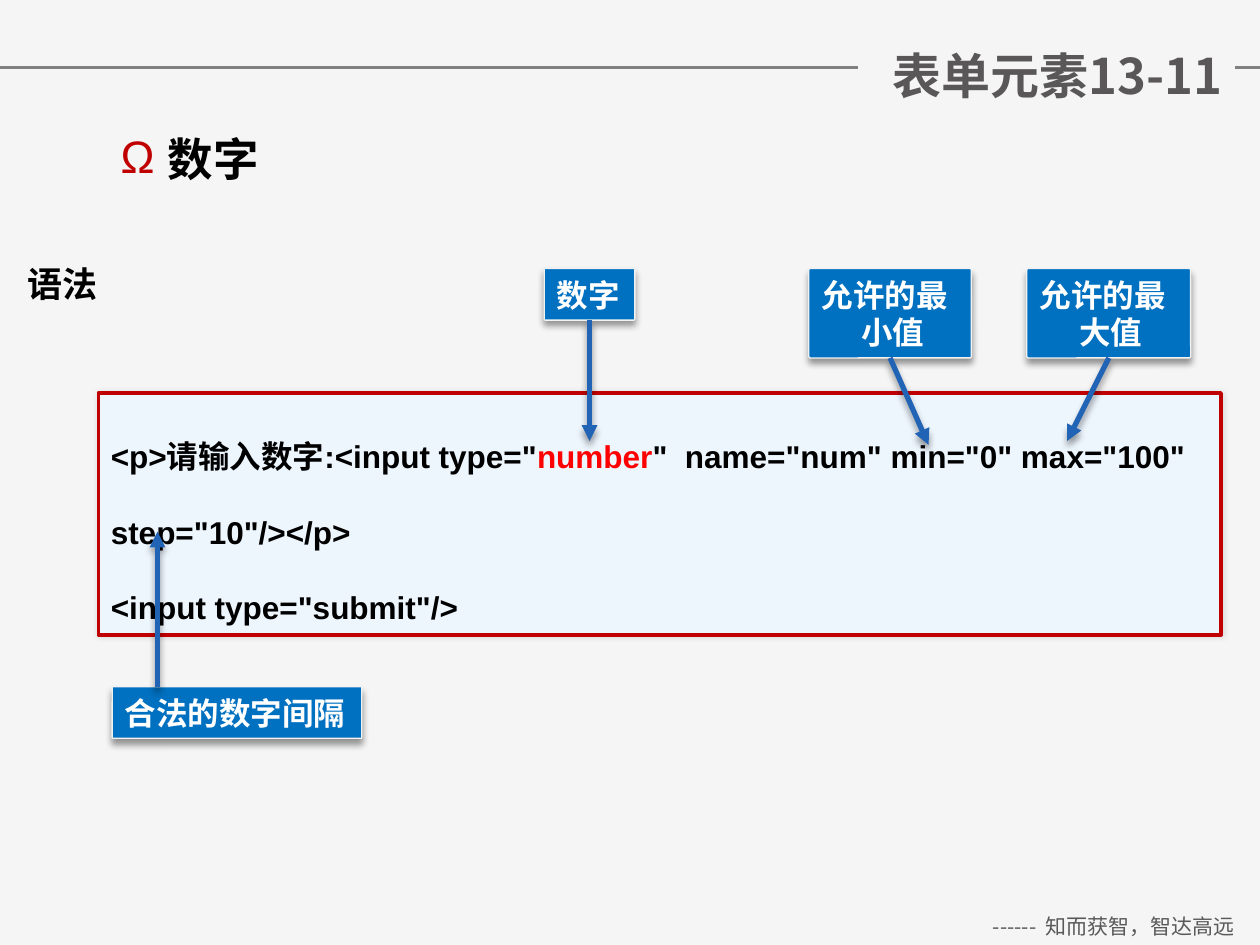
from dataclasses import dataclass

from lxml import etree
from pptx import Presentation
from pptx.dml.color import RGBColor
from pptx.enum.shapes import MSO_CONNECTOR, MSO_SHAPE
from pptx.enum.text import MSO_ANCHOR, MSO_AUTO_SIZE, PP_ALIGN
from pptx.oxml.ns import qn
from pptx.util import Pt

STRAIGHT = MSO_CONNECTOR.STRAIGHT
ROUNDED = MSO_SHAPE.ROUNDED_RECTANGLE
TOP, MIDDLE, BOTTOM = MSO_ANCHOR.TOP, MSO_ANCHOR.MIDDLE, MSO_ANCHOR.BOTTOM
LEFT, CENTER, RIGHT = PP_ALIGN.LEFT, PP_ALIGN.CENTER, PP_ALIGN.RIGHT
NO_AUTOFIT = MSO_AUTO_SIZE.NONE

LATIN, CJK = "Arial", "Noto Sans CJK SC"
COLORS = {
    "background": "F5F5F5",
    "rule": "808080",
    "title": "595758",
    "footer": "595959",
    "black": "000000",
    "white": "FFFFFF",
    "accent": "C00000",
    "keyword": "FF0000",
    "code_fill": "EDF5FD",
    "label_fill": "0070C0",
    "label_line": "F2F2F2",
    "arrow": "2163B4",
}


@dataclass
class Area:
    left: float
    top: float
    width: float
    height: float


@dataclass
class Style:
    size: float
    color: str
    bold: bool = True
    font: str = CJK


@dataclass
class Shadow:
    opacity: int
    blur: float
    distance: float
    angle: int = 0


@dataclass
class Label:
    text: str
    area: Area
    start: tuple[float, float]
    tip: tuple[float, float]
    wrap: bool


SOFT_SHADOW = Shadow(10, 3, 0)
DROP_SHADOW = Shadow(40, 4, 3, 90)
CODE_STYLE = Style(18, "black", font=LATIN)
KEYWORD_STYLE = Style(18, "keyword", font=LATIN)
LABEL_STYLE = Style(18, "white", font=LATIN)

CODE_LINES = [
    [
        ('<p>请输入数字:<input type="', CODE_STYLE),
        ("number", KEYWORD_STYLE),
        ('"  name="num" min="0" max="100" step="10"/></p>', CODE_STYLE),
    ],
    [('<input type="submit"/>', CODE_STYLE)],
]

LABELS = [
    Label("数字", Area(311, 153.4, 51.8, 29.5), (336.9, 182.9), (336.9, 252), False),
    Label("允许的最小值", Area(462.2, 153.4, 92.9, 51.1), (508.6, 204.5), (530.6, 254.2), True),
    Label("允许的最大值", Area(586.8, 153.4, 93.6, 51.1), (633.6, 204.5), (609.8, 252), True),
    Label("合法的数字间隔", Area(64.1, 392.4, 142.6, 29.5), (90, 392.4), (90, 303.8), False),
]


def rgb(name: str) -> RGBColor:
    return RGBColor.from_string(COLORS[name])


def box_lengths(area: Area) -> list[Pt]:
    return [Pt(area.left), Pt(area.top), Pt(area.width), Pt(area.height)]


def add_effects(parent, shadow: Shadow | None):
    effects = etree.SubElement(parent, qn("a:effectLst"))
    if shadow:
        outer = etree.SubElement(
            effects, qn("a:outerShdw"), blurRad=str(Pt(shadow.blur)),
            dist=str(Pt(shadow.distance)), dir=str(shadow.angle * 60000),
            algn="ctr", rotWithShape="0")
        color = etree.SubElement(outer, qn("a:srgbClr"), val=COLORS["black"])
        etree.SubElement(color, qn("a:alpha"), val=str(shadow.opacity * 1000))
    return effects


def format_span(span, style: Style) -> None:
    span.font.size = Pt(style.size)
    span.font.bold = style.bold
    span.font.color.rgb = rgb(style.color)
    span.font.name = style.font
    etree.SubElement(span.font._element, qn("a:ea"), typeface=CJK)


def format_frame(frame, anchor, wrap: bool) -> None:
    frame.auto_size = NO_AUTOFIT
    frame.word_wrap = wrap
    frame.vertical_anchor = anchor


def write_text(box, text: str, style: Style, anchor=TOP, align=LEFT, wrap: bool = True):
    frame = box.text_frame
    frame.text = text
    format_frame(frame, anchor, wrap)
    para = frame.paragraphs[0]
    para.alignment = align
    format_span(para.runs[0], style)
    return para


def set_hanging(para, indent: float) -> None:
    properties = para._p.get_or_add_pPr()
    properties.set("marL", str(Pt(indent)))
    properties.set("indent", str(-Pt(indent)))


def add_bullet(para, symbol: str) -> None:
    properties = para._p.get_or_add_pPr()
    color = etree.SubElement(properties, qn("a:buClr"))
    etree.SubElement(color, qn("a:srgbClr"), val=COLORS["accent"])
    etree.SubElement(properties, qn("a:buFont"), typeface=LATIN)
    etree.SubElement(properties, qn("a:buChar"), char=symbol)


def add_panel(page, area: Area, fill: str, line: str, weight: float,
              corner: float, shadow: Shadow):
    panel = page.shapes.add_shape(ROUNDED, *box_lengths(area))
    panel.adjustments[0] = corner
    panel.fill.solid()
    panel.fill.fore_color.rgb = rgb(fill)
    panel.line.color.rgb = rgb(line)
    panel.line.width = Pt(weight)
    add_effects(panel.element.spPr, shadow)
    return panel


def add_line(page, start: tuple[float, float], end: tuple[float, float], color: str,
             weight: float, arrow: bool = False) -> None:
    points = [Pt(value) for value in (*start, *end)]
    line = page.shapes.add_connector(STRAIGHT, *points)
    line.line.color.rgb = rgb(color)
    line.line.width = Pt(weight)
    if arrow:
        etree.SubElement(line.line._get_or_add_ln(), qn("a:tailEnd"), type="triangle")
    add_effects(line.element.spPr, DROP_SHADOW if arrow else None)


def add_code(page) -> None:
    panel = add_panel(page, Area(56.2, 224.6, 641.5, 138.2), "code_fill", "accent",
                      2, 0, SOFT_SHADOW)
    frame = panel.text_frame
    format_frame(frame, TOP, True)
    for index, parts in enumerate(CODE_LINES):
        para = frame.add_paragraph() if index else frame.paragraphs[0]
        para.alignment = LEFT
        para.line_spacing = 2.0
        for text, style in parts:
            span = para.add_run()
            span.text = text
            format_span(span, style)


def add_label(page, label: Label) -> None:
    panel = add_panel(page, label.area, "label_fill", "label_line", 0.75, 0.018, DROP_SHADOW)
    para = write_text(panel, label.text, LABEL_STYLE, BOTTOM, wrap=label.wrap)
    set_hanging(para, 22.5)
    add_line(page, label.start, label.tip, "arrow", 3, arrow=True)


def main() -> None:
    deck = Presentation()
    deck.slide_width, deck.slide_height = Pt(720), Pt(540)
    page = deck.slides.add_slide(deck.slide_layouts[5])
    page.background.fill.solid()
    page.background.fill.fore_color.rgb = rgb("background")

    title = page.shapes.title
    title.left, title.top, title.width, title.height = box_lengths(Area(490.3, 22.3, 215.3, 41))
    write_text(title, "表单元素13-11", Style(28, "title"), MIDDLE, RIGHT)
    for start, end in [(0, 490.3), (705.6, 720)]:
        add_line(page, (start, 38.7), (end, 38.7), "rule", 2)

    footer = page.shapes.add_textbox(*box_lengths(Area(553, 518.4, 167, 21.6)))
    write_text(footer, "------  知而获智，智达高远", Style(12, "footer", bold=False), align=CENTER)

    heading = page.shapes.add_textbox(*box_lengths(Area(61.9, 71.3, 601.9, 45)))
    para = write_text(heading, "数字", Style(26, "black"))
    set_hanging(para, 27)
    add_bullet(para, "Ω")

    syntax = page.shapes.add_textbox(*box_lengths(Area(8.6, 146.2, 55.4, 31.7)))
    para = write_text(syntax, "语法", Style(20, "black"), MIDDLE, wrap=False)
    properties = para.runs[0].font._element
    properties.find(qn("a:latin")).addprevious(add_effects(properties, DROP_SHADOW))

    add_code(page)
    for label in LABELS:
        add_label(page, label)
    deck.save("out.pptx")


if __name__ == "__main__":
    main()
